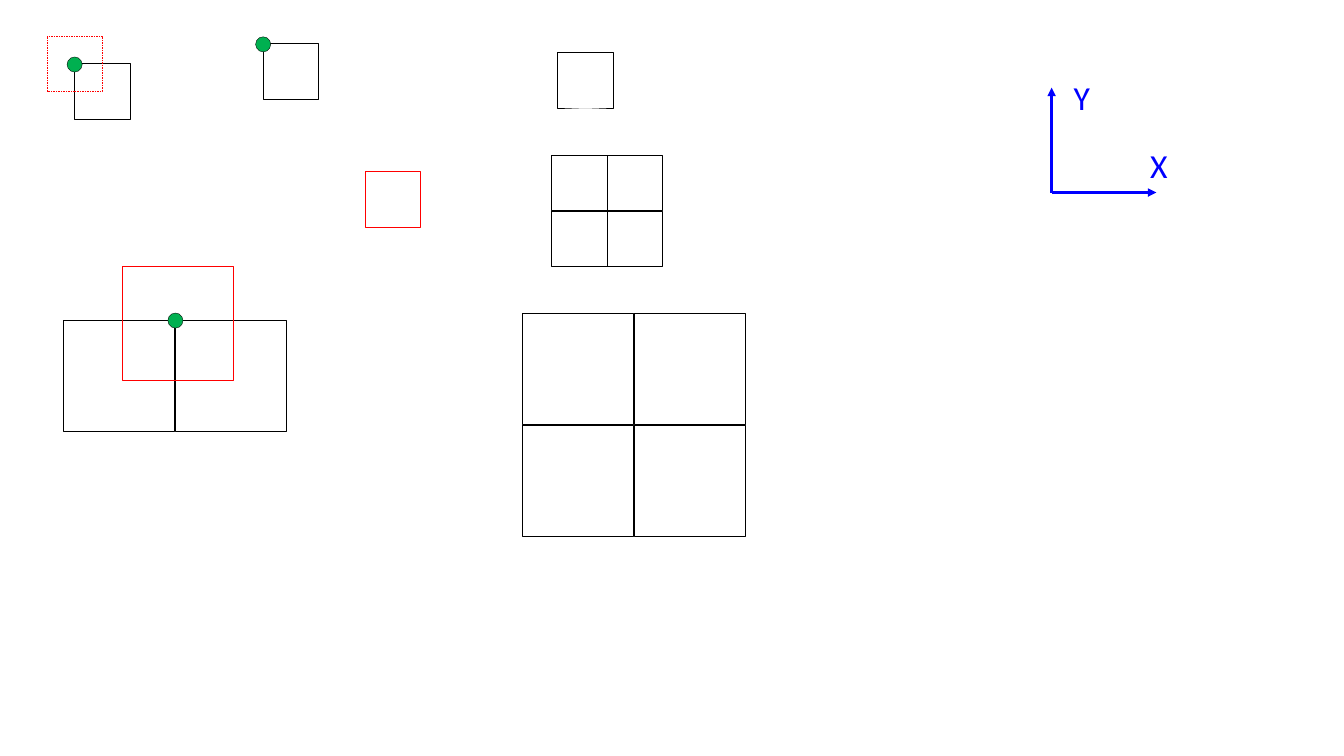
import pptx
import pptx.util
import pptx.dml.color
import pptx.enum.dml
import pptx.enum.shapes
import pptx.enum.text
import pptx.oxml
import pptx.oxml.ns

Inches, Pt = pptx.util.Inches, pptx.util.Pt
RGBColor = pptx.dml.color.RGBColor
SHAPE = pptx.enum.shapes.MSO_SHAPE

BLACK = RGBColor(0x00, 0x00, 0x00)
RED = RGBColor(0xFF, 0x00, 0x00)
GREEN = RGBColor(0x00, 0xB0, 0x50)
BLUE = RGBColor(0x00, 0x00, 0xFF)

SMALL = 0.55        # side of a small cell, inches
LARGE = 2 * SMALL   # side of a large cell
DOT = 0.15          # diameter of an anchor point


def add_outline(slide, kind, x, y, w, h, color=BLACK, fill=None, dash=None):
    sp = slide.shapes.add_shape(kind, Inches(x), Inches(y), Inches(w), Inches(h))
    sp.shadow.inherit = False
    if fill is None:
        sp.fill.background()
    else:
        sp.fill.solid()
        sp.fill.fore_color.rgb = fill
    sp.line.color.rgb = color
    sp.line.width = Pt(0.25)
    if dash is not None:
        sp.line.dash_style = dash


def add_grid(slide, x, y, side, cols=1, rows=1, color=BLACK, pitch=None):
    pitch = pitch or side
    for row in range(rows):
        for col in range(cols):
            add_outline(slide, SHAPE.RECTANGLE, x + col * pitch, y + row * pitch,
                        side, side, color)


def add_dot(slide, x, y):
    add_outline(slide, SHAPE.OVAL, x - DOT / 2, y - DOT / 2, DOT, DOT, fill=GREEN)


def add_text(shapes, text, x, y, w, h, size=24, color=BLUE, font="Calibri"):
    tb = shapes.add_textbox(Inches(x), Inches(y), Inches(w), Inches(h))
    tf = tb.text_frame
    tf.word_wrap = False
    tf.auto_size = pptx.enum.text.MSO_AUTO_SIZE.SHAPE_TO_FIT_TEXT
    r = tf.paragraphs[0].add_run()
    r.text = text
    r.font.size = Pt(size)
    r.font.name = font
    r.font.color.rgb = color


def add_arrow(shapes, x1, y1, x2, y2):
    cxn = shapes.add_connector(pptx.enum.shapes.MSO_CONNECTOR.STRAIGHT,
                               Inches(x1), Inches(y1), Inches(x2), Inches(y2))
    cxn.line.color.rgb = BLUE
    cxn.line.width = Pt(2)
    tail = pptx.oxml.parse_xml(
        '<a:tailEnd %s type="triangle"/>' % pptx.oxml.ns.nsdecls("a"))
    cxn.line._get_or_add_ln().append(tail)
    cxn._element.spPr.append(pptx.oxml.parse_xml(
        "<a:effectLst %s/>" % pptx.oxml.ns.nsdecls("a")))


def add_large_pair(slide, x, y):
    """Two large cells, with a red cell centred on their shared corner."""
    middle = x + LARGE + 0.01
    add_grid(slide, x, y, LARGE, cols=2, pitch=LARGE + 0.01)
    add_dot(slide, middle, y)
    add_outline(slide, SHAPE.RECTANGLE, middle - 0.53, y - 0.54, LARGE, 1.13, RED)


def add_anchored_cell(slide, x, y, ghost=False):
    """A small cell with a dot on its corner and an optional dashed cell there."""
    add_grid(slide, x, y, SMALL)
    add_dot(slide, x, y + 0.01)
    if ghost:
        add_outline(slide, SHAPE.RECTANGLE, x - SMALL / 2, y - SMALL / 2,
                    SMALL, SMALL, RED, dash=pptx.enum.dml.MSO_LINE.DASH)


def add_refinement(slide, x, y):
    """One cell, a two by two block of it, and the block doubled in size."""
    add_grid(slide, x + 0.35, y, SMALL)
    add_grid(slide, x + 0.29, y + 1.02, SMALL, cols=2, rows=2)
    add_grid(slide, x, y + 2.59, LARGE, cols=2, rows=2, pitch=LARGE + 0.01)


def add_axes(slide, x, y, length):
    """Axis arrows from the origin, with their labels."""
    shapes = slide.shapes.add_group_shape().shapes
    add_arrow(shapes, x, y, x + length, y)
    add_arrow(shapes, x, y, x, y - length)
    add_text(shapes, "X", x + 0.88, y - 0.52, 0.38, 0.5)
    add_text(shapes, "Y", x + 0.12, y - 1.2, 0.38, 0.5)


def main():
    prs = pptx.Presentation()
    prs.slide_width, prs.slide_height = Inches(13.33), Inches(7.5)
    slide = prs.slides.add_slide(prs.slide_layouts[6])

    # Left: anchored cells
    add_large_pair(slide, 0.63, 3.18)
    add_anchored_cell(slide, 0.74, 0.63, ghost=True)
    add_anchored_cell(slide, 2.61, 0.43)

    # Centre: cell refinement
    add_refinement(slide, 5.18, 0.52)

    # Right: axes
    add_axes(slide, 10.43, 1.91, 1.04)

    # Free red cell
    add_grid(slide, 3.62, 1.7, SMALL, color=RED)

    prs.save("out.pptx")


if __name__ == "__main__":
    main()
